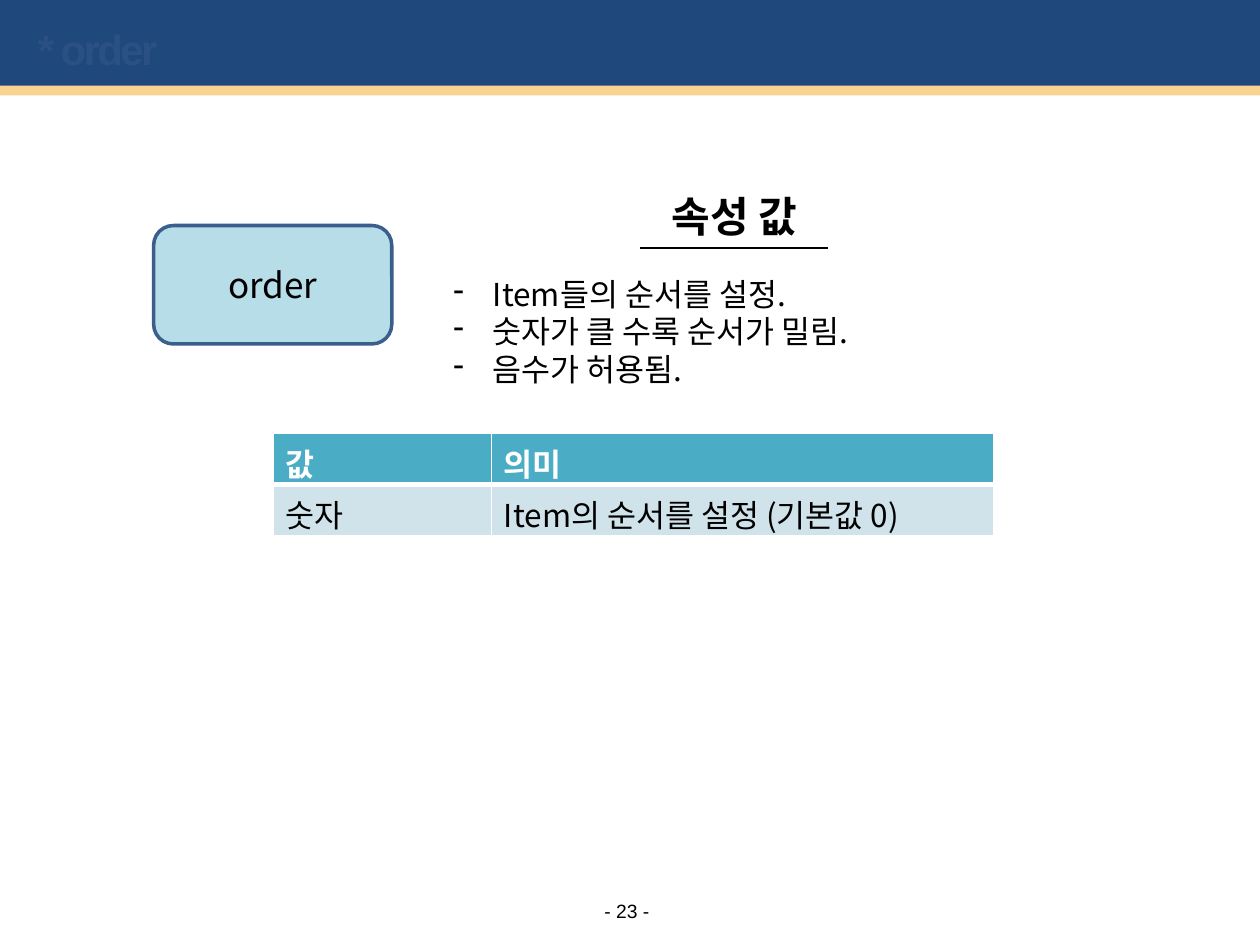
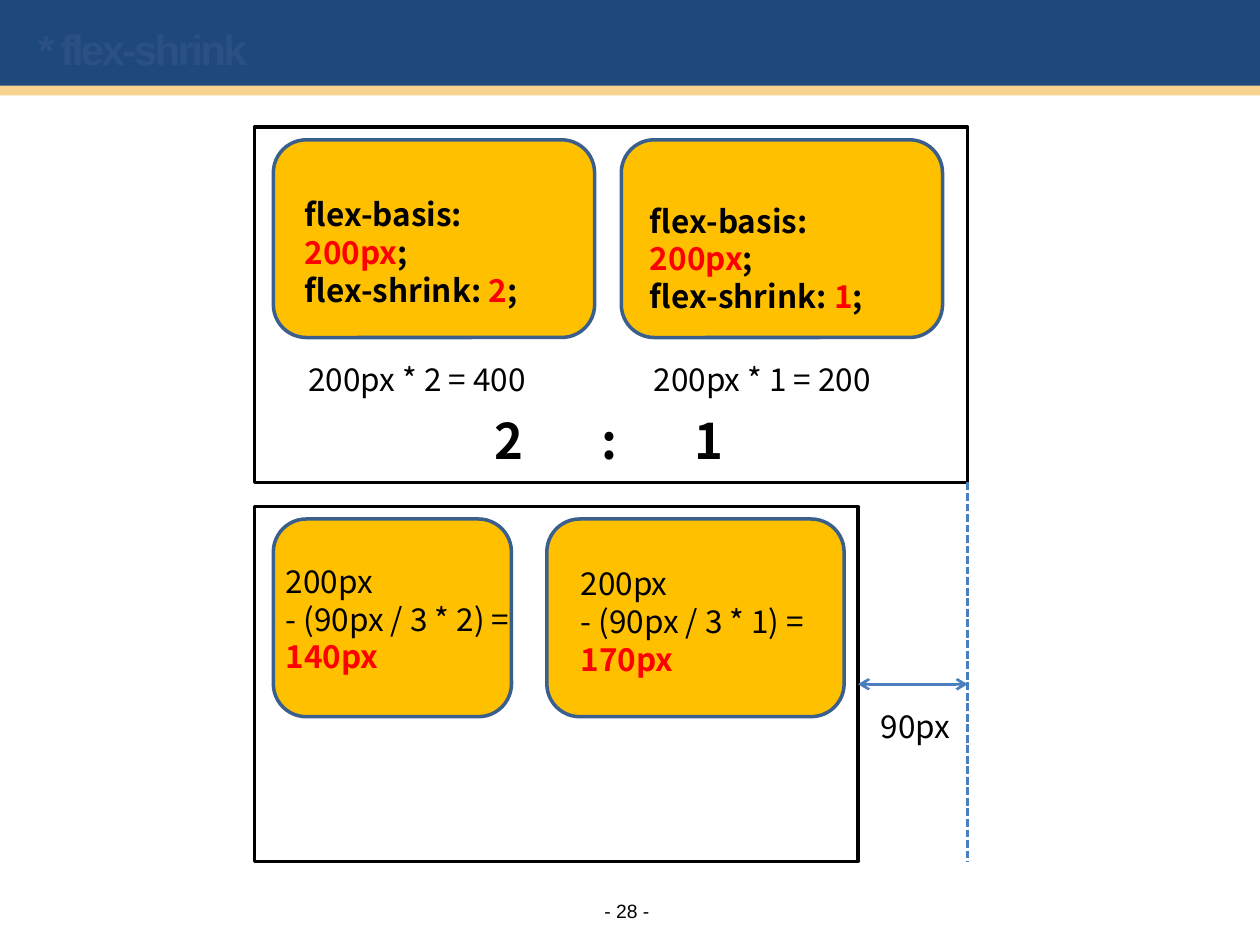
"""Build two slides that explain the flexbox properties order and flex-shrink."""
from dataclasses import dataclass

from lxml import etree
from pptx import Presentation
from pptx.dml.color import RGBColor
from pptx.enum import dml, shapes, text
from pptx.oxml import ns
from pptx.util import Pt

RECTANGLE = shapes.MSO_SHAPE.RECTANGLE
ROUNDED = shapes.MSO_SHAPE.ROUNDED_RECTANGLE
CENTER = text.PP_ALIGN.CENTER
LEFT = text.PP_ALIGN.LEFT
MIDDLE = text.MSO_ANCHOR.MIDDLE


@dataclass(frozen=True)
class Theme:
    band: str = "1F497D"
    accent: str = "F9D490"
    title: str = "2B5083"
    ink: str = "000000"
    white: str = "FFFFFF"
    red: str = "FF0000"
    item: str = "FFC000"
    property: str = "B7DEE8"
    outline: str = "3A5F8C"
    measure: str = "4B7EBC"
    table_head: str = "4BACC6"
    table_body: str = "D0E3EA"
    heading_font: str = "Arial"
    body_font: str = "Noto Sans CJK KR"
    page_size: float = 11
    body_size: float = 18
    label_size: float = 20
    title_size: float = 24
    ratio_size: float = 28


def set_values(target, values):
    for name, value in values.items():
        setattr(target, name, value)


def add_xml(parent, tag, **attributes):
    return etree.SubElement(parent, ns.qn(tag), attributes)


class Deck:
    """Hold the theme and the current slide, and draw elements on it."""

    def __init__(self, theme):
        self.theme = theme
        self.presentation = Presentation()
        set_values(self.presentation, {"slide_width": Pt(720), "slide_height": Pt(540)})
        self.layout = self.presentation.slide_layouts[5]
        self.slide = None

    def start_slide(self, title, page):
        first = self.slide is None
        self.slide = self.presentation.slides.add_slide(self.layout)
        if first:
            self.share_bands()
        holder = self.slide.shapes.title
        set_values(holder, {"left": Pt(21.6), "top": Pt(10), "width": Pt(660), "height": Pt(36)})
        self.fill_text(holder.text_frame, [[title]], align=LEFT, anchor=MIDDLE, inset=0,
                       font=self.theme.heading_font, size=self.theme.title_size,
                       bold=True, color=self.theme.title)
        for run in holder.text_frame.paragraphs[0].runs:
            run.font._element.set("spc", "-150")
        self.text((342.7, 513.4, 31, 13.7), [[f"- {page} -"]], align=CENTER, anchor=MIDDLE,
                  inset=0, wrap=False, font=self.theme.heading_font, size=self.theme.page_size)

    def share_bands(self):
        for box, color in (((0, -2.2, 720, 54.7), self.theme.band),
                           ((0, 49, 720, 5.6), self.theme.accent)):
            band = self.shape(RECTANGLE, box, fill=color)
            self.layout.shapes._spTree.append(band._element)

    def fill_text(self, frame, paragraphs, align=LEFT, anchor=text.MSO_ANCHOR.TOP, inset=None,
                  wrap=True, grow=False, bullet=None, tabs=(), **style):
        auto_size = text.MSO_AUTO_SIZE
        set_values(frame, {
            "word_wrap": wrap, "vertical_anchor": anchor,
            "auto_size": auto_size.SHAPE_TO_FIT_TEXT if grow else auto_size.NONE})
        if inset is not None:
            sides = ("left", "top", "right", "bottom")
            set_values(frame, {f"margin_{side}": Pt(inset) for side in sides})
        for index, runs in enumerate(paragraphs):
            paragraph = frame.add_paragraph() if index else frame.paragraphs[0]
            paragraph.alignment = align
            properties = paragraph._p.get_or_add_pPr()
            if bullet:
                indent = Pt(22.5)
                properties.set("marL", str(indent))
                properties.set("indent", str(-indent))
                add_xml(properties, "a:buChar", char=bullet)
            if tabs:
                stops = add_xml(properties, "a:tabLst")
                for stop in tabs:
                    add_xml(stops, "a:tab", pos=str(Pt(stop)), algn="ctr")
            for run in runs:
                words, changes = (run, {}) if isinstance(run, str) else run
                self.add_run(paragraph, words, {**style, **changes})

    def add_run(self, paragraph, words, style):
        run = paragraph.add_run()
        run.text = words
        name = style.get("font", self.theme.body_font)
        set_values(run.font, {"name": name, "bold": style.get("bold", False),
                              "size": Pt(style.get("size", self.theme.body_size))})
        run.font.color.rgb = RGBColor.from_string(style.get("color", self.theme.ink))
        add_xml(run.font._element, "a:ea", typeface=name)

    def text(self, box, paragraphs, **options):
        shape = self.slide.shapes.add_textbox(*map(Pt, box))
        self.fill_text(shape.text_frame, paragraphs, **{"grow": True, **options})

    def shape(self, kind, box, fill=None, line=None):
        shape = self.slide.shapes.add_shape(kind, *map(Pt, box))
        shape.shadow.inherit = False
        if fill:
            shape.fill.solid()
            shape.fill.fore_color.rgb = RGBColor.from_string(fill)
        else:
            shape.fill.background()
        if line:
            shape.line.color.rgb = RGBColor.from_string(line)
            shape.line.width = Pt(2)
        else:
            shape.line.fill.background()
        return shape

    def line(self, start, end, color, dash=None, arrows=False):
        connector = self.slide.shapes.add_connector(
            shapes.MSO_CONNECTOR.STRAIGHT, *map(Pt, start + end))
        connector.line.color.rgb = RGBColor.from_string(color)
        set_values(connector.line, {"width": Pt(1.5), "dash_style": dash})
        if arrows:
            for tag in ("a:headEnd", "a:tailEnd"):
                add_xml(connector.line._get_or_add_ln(), tag, type="arrow")
        add_xml(connector._element.spPr, "a:effectLst")

    def table(self, left, top, widths, row_height, rows):
        box = (left, top, sum(widths), row_height * len(rows))
        table = self.slide.shapes.add_table(len(rows), len(widths), *map(Pt, box)).table
        table.horz_banding = False
        for column, width in zip(table.columns, widths):
            column.width = Pt(width)
        for row_index, values in enumerate(rows):
            table.rows[row_index].height = Pt(row_height)
            head = row_index == 0
            for column_index, value in enumerate(values):
                cell = table.cell(row_index, column_index)
                self.border(cell, {"L": 1, "R": 1, "T": 1 if head else 3, "B": 3 if head else 1})
                cell.fill.solid()
                cell.fill.fore_color.rgb = RGBColor.from_string(
                    self.theme.table_head if head else self.theme.table_body)
                self.add_run(cell.text_frame.paragraphs[0], value, {
                    "bold": head, "color": self.theme.white if head else self.theme.ink})

    def border(self, cell, widths):
        properties = cell._tc.get_or_add_tcPr()
        for side, width in widths.items():
            edge = add_xml(properties, f"a:ln{side}", w=str(Pt(width)))
            add_xml(add_xml(edge, "a:solidFill"), "a:srgbClr", val=self.theme.white)


def build_order(deck):
    theme = deck.theme
    deck.start_slide("* order", 23)
    label = deck.shape(ROUNDED, (87.8, 128.9, 136.1, 67.7), theme.property, theme.outline)
    deck.fill_text(label.text_frame, [["order"]], align=CENTER, anchor=MIDDLE,
                   size=theme.label_size)
    deck.text((280.8, 105.1, 277.9, 36), [["속성 값"]], align=CENTER,
              size=theme.title_size, bold=True)
    deck.text((252, 153.4, 351.4, 72.7), [["Item들의 순서를 설정."],
              ["숫자가 클 수록 순서가 밀림."], ["음수가 허용됨."]], bullet="-")
    deck.line((365.8, 141.8), (473, 141.8), theme.ink)
    deck.table(156.2, 247.7, (124.6, 287.3), 29.2,
               [["값", "의미"], ["숫자", "Item의 순서를 설정 (기본값 0)"]])


def build_flex_shrink(deck):
    theme = deck.theme
    red = {"color": theme.red}
    result = {"color": theme.red, "bold": True}
    container_left, container_height = 145.4, 203
    wide_right, narrow_right = 553, 490.3
    top, shrunk_top = 72.7, 289.4
    bottom = shrunk_top + container_height
    item_left, item_height, item_inset = 156.2, 113, 7.2
    deck.start_slide("* flex-shrink", 28)

    for container_top, right, items in (
            (top, wide_right, ((item_left, 183.6), (355, 183.6))),
            (shrunk_top, narrow_right, ((item_left, 136.1), (312.5, 169.9)))):
        deck.shape(RECTANGLE, (container_left, container_top, right - container_left,
                               container_height), line=theme.ink)
        for left, width in items:
            deck.shape(ROUNDED, (left, container_top + item_inset, width, item_height),
                       theme.item, theme.outline)

    for shrink, left, rule_top, product_left, shrunk_left, shrunk_text_top, size in (
            (2, 167, 108, 169.2, 156.2, 317.5, 140),
            (1, 364.3, 111.6, 366.5, 324.7, 319, 170)):
        deck.text((left, rule_top, 164.2, 51), [
            ["flex-basis: ", ("200px", red), ";"],
            ["flex-shrink: ", (str(shrink), red), ";"]], bold=True)
        deck.text((product_left, 202, 160.6, 28.8), [[f"200px * {shrink} = {200 * shrink}"]])
        deck.text((shrunk_left, shrunk_text_top, 145.4, 72.7), [
            ["200px"], [f"- (90px / 3 * {shrink}) = ", (f"{size}px", result)]])

    deck.text((223.9, 231.1, 249.1, 41), [["\t2\t:\t1"]], size=theme.ratio_size, bold=True,
              tabs=[59.8 + 57.3 * step for step in range(3)])
    deck.line((wide_right, top + container_height), (wide_right, bottom), theme.measure,
              dash=dml.MSO_LINE.SQUARE_DOT)
    deck.line((narrow_right, 391), (wide_right, 391), theme.measure, arrows=True)
    deck.text((496.1, 400.3, 56.9, 28.8), [["90px"]])


def main():
    deck = Deck(Theme())
    build_order(deck)
    build_flex_shrink(deck)
    deck.presentation.save("out.pptx")


if __name__ == "__main__":
    main()
